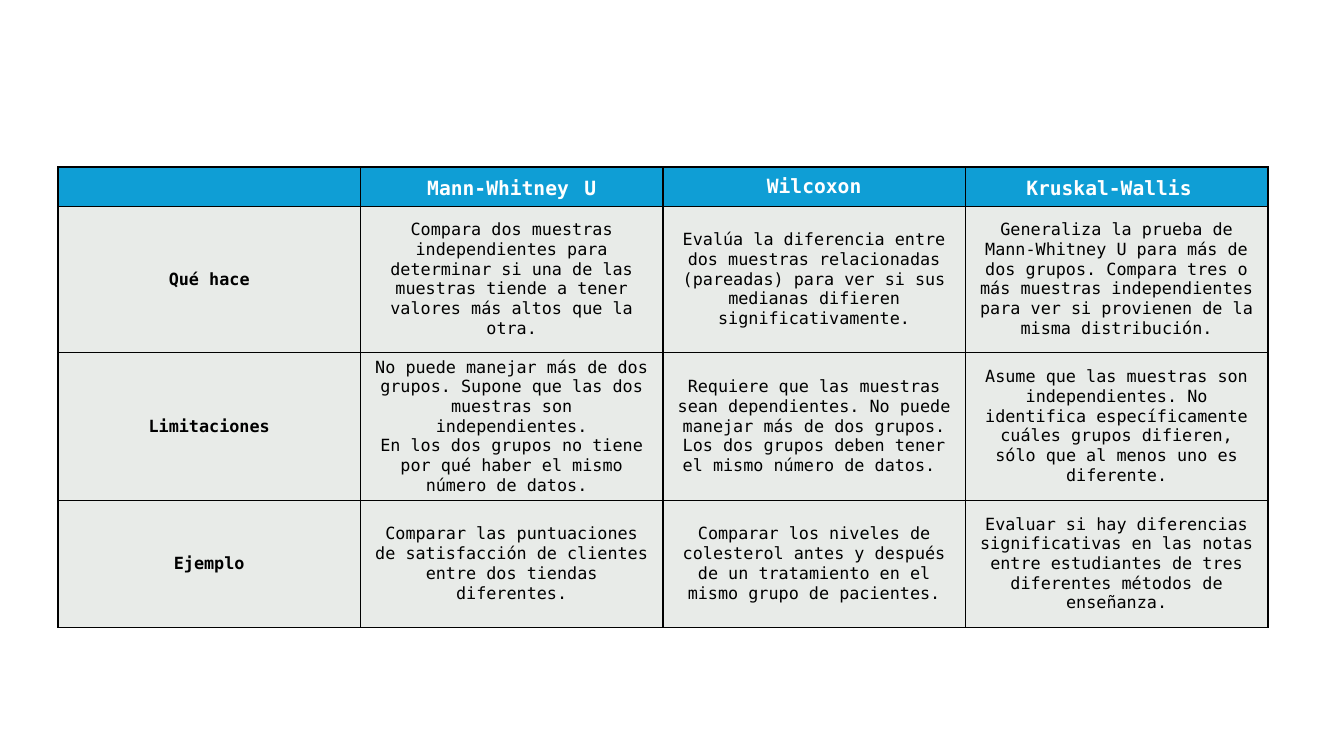
from lxml import etree
from pptx import Presentation
from pptx import util as u
from pptx.dml.color import RGBColor
from pptx.enum import text
from pptx.oxml import ns

EMU_PER_PX = 914400 / 100.8
FONT = "DejaVu Sans Mono"
COLORS = {"header": "0F9ED5", "body": "E8EBE8", "border": "000000",
          "header_text": "FFFFFF", "body_text": "000000"}
HEADER_SIZE, BODY_SIZE, SPACE_SIZE = 14, 12, 18
ROW_HEIGHTS = [39, 146, 146, 127]

# Each header is a list of (text, size) runs
HEADERS = [
    [],
    [("Mann-Whitney", HEADER_SIZE), (" ", SPACE_SIZE), ("U", HEADER_SIZE)],
    [("Wilcoxon", HEADER_SIZE)],
    [("Kruskal-Wallis", HEADER_SIZE), (" ", SPACE_SIZE)],
]

# Each body cell is a list of paragraphs
BODY = [
    [["Qué hace"],
     ["Compara dos muestras independientes para determinar si una de las "
      "muestras tiende a tener valores más altos que la otra."],
     ["Evalúa la diferencia entre dos muestras relacionadas (pareadas) para "
      "ver si sus medianas difieren significativamente."],
     ["Generaliza la prueba de Mann-Whitney U para más de dos grupos. Compara "
      "tres o más muestras independientes para ver si provienen de la misma "
      "distribución."]],
    [["Limitaciones"],
     ["No puede manejar más de dos grupos. Supone que las dos muestras son "
      "independientes.",
      "En los dos grupos no tiene por qué haber el mismo número de datos. "],
     ["Requiere que las muestras sean dependientes. No puede manejar más de "
      "dos grupos. Los dos grupos deben tener el mismo número de datos. "],
     ["Asume que las muestras son independientes. No identifica "
      "específicamente cuáles grupos difieren, sólo que al menos uno es "
      "diferente."]],
    [["Ejemplo"],
     ["Comparar las puntuaciones de satisfacción de clientes entre dos "
      "tiendas diferentes."],
     ["Comparar los niveles de colesterol antes y después de un tratamiento "
      "en el mismo grupo de pacientes."],
     ["Evaluar si hay diferencias significativas en las notas entre "
      "estudiantes de tres diferentes métodos de enseñanza."]],
]


def px(length):
    return u.Emu(round(length * EMU_PER_PX))


def rgb(name):
    return RGBColor.from_string(COLORS[name])


def add_borders(cell):
    properties = cell._tc.get_or_add_tcPr()
    for position, side in enumerate(("lnL", "lnR", "lnT", "lnB")):
        line = etree.Element(ns.qn(f"a:{side}"), w=str(u.Pt(1)))
        fill = etree.SubElement(line, ns.qn("a:solidFill"))
        etree.SubElement(fill, ns.qn("a:srgbClr"), val=COLORS["border"])
        properties.insert(position, line)


def fill_cell(cell, paragraphs, kind, bold):
    """Style a cell and write its paragraphs, each a list of (text, size)."""
    cell.fill.solid()
    cell.fill.fore_color.rgb = rgb(kind)
    add_borders(cell)
    cell.vertical_anchor = text.MSO_ANCHOR.MIDDLE
    frame = cell.text_frame
    for index, runs in enumerate(paragraphs):
        paragraph = frame.add_paragraph() if index else frame.paragraphs[0]
        paragraph.alignment = text.PP_ALIGN.CENTER
        for words, size in runs:
            run = paragraph.add_run()
            run.text = words
            run.font.name = FONT
            run.font.size = u.Pt(size)
            run.font.bold = bold
            run.font.color.rgb = rgb(f"{kind}_text")
        if not runs:  # keeps an empty cell from stretching its row
            etree.SubElement(paragraph._p, ns.qn("a:endParaRPr"),
                             sz=str(HEADER_SIZE * 100))


def add_test_comparison(slide, left, top, width):
    columns = len(HEADERS)
    comparison = slide.shapes.add_table(
        len(ROW_HEIGHTS), columns, px(left), px(top), px(width),
        px(sum(ROW_HEIGHTS))).table
    comparison.first_row = comparison.horz_banding = False
    for column in comparison.columns:
        column.width = px(width / columns)
    for row, height in zip(comparison.rows, ROW_HEIGHTS):
        row.height = px(height)

    # Header row
    for column, runs in enumerate(HEADERS):
        fill_cell(comparison.cell(0, column), [runs], "header", True)

    # Body rows, with a bold first column
    for row, entries in enumerate(BODY, start=1):
        for column, entry in enumerate(entries):
            paragraphs = [[(words, BODY_SIZE)] for words in entry]
            fill_cell(comparison.cell(row, column), paragraphs, "body",
                      column == 0)


def main():
    deck = Presentation()
    deck.slide_width, deck.slide_height = px(1344), px(756)
    slide = deck.slides.add_slide(deck.slide_layouts[6])
    add_test_comparison(slide, left=58, top=167, width=1210)
    deck.save("out.pptx")


if __name__ == "__main__":
    main()
